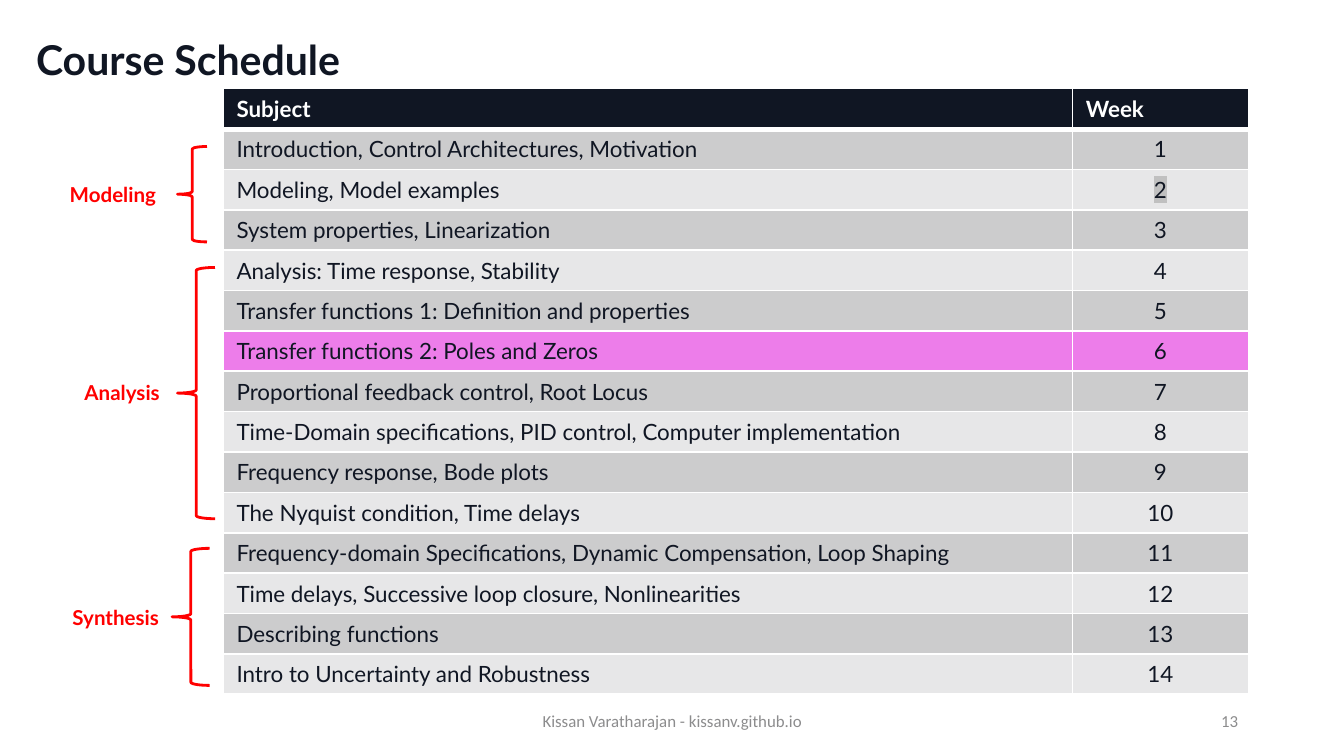
from dataclasses import dataclass
from lxml.etree import SubElement as Sub
from pptx import Presentation as Deck
from pptx.dml.color import RGBColor as Rgb
from pptx.enum.shapes import MSO_SHAPE as Shape
from pptx.enum.text import MSO_ANCHOR as Anchor, PP_ALIGN as Align
from pptx.oxml import parse_xml
from pptx.oxml.ns import nsdecls, qn
from pptx.util import Inches, Pt


@dataclass(frozen=True)
class Theme:
    ink: str = "101623"
    white: str = "FFFFFF"
    red: str = "FF0000"
    gray: str = "8C8C8D"
    bands: tuple = ("CCCCCD", "E7E7E8")
    mark: str = "ED7DEA"
    glow: str = "C0C0C0"
    face: str = "Lato"
    foot: str = "Calibri"
    title: int = 22
    cell: int = 12
    label: int = 11
    small: int = 9


LOOK = Theme()
COLS = 100
ROWS = COLS * 9 / 16
ROW = 3
EDGE = 13.2
NOW = 6
PICKED = 2
TOPICS = (
    "Introduction, Control Architectures, Motivation",
    "Modeling, Model examples",
    "System properties, Linearization",
    "Analysis: Time response, Stability",
    "Transfer functions 1: Definition and properties",
    "Transfer functions 2: Poles and Zeros",
    "Proportional feedback control, Root Locus",
    "Time-Domain specifications, PID control, Computer implementation",
    "Frequency response, Bode plots",
    "The Nyquist condition, Time delays",
    "Frequency-domain Specifications, Dynamic Compensation, Loop Shaping",
    "Time delays, Successive loop closure, Nonlinearities",
    "Describing functions",
    "Intro to Uncertainty and Robustness",
)
PARTS = (
    ("Modeling", 9, 13, (13.2, 10.9, 2.2, 7.1)),
    ("Analysis", 7.9, 27.7, (13.2, 19.9, 2.8, 18.7)),
    ("Synthesis", 8.8, 44.5, (12.8, 40.8, 2.8, 10.2)),
)


def grid(*units):
    """Turn grid units, a hundred to the slide's width, into lengths."""
    return [Inches(unit / 10) for unit in units]


def apply(item, form):
    """Set every format value on an item."""
    for name, value in form.items():
        setattr(item, name, value)


def write(frame, text, size, color, bold=False, face=LOOK.face, align=Align.LEFT, space=None):
    """Write one formatted line and return its run."""
    par = frame.paragraphs[0]
    apply(par, {"alignment": align, "line_spacing": space})
    run = par.add_run()
    run.text = text
    apply(run.font, {"size": Pt(size), "bold": bold, "name": face})
    run.font.color.rgb = Rgb.from_string(color)
    return run


def add_text(slide, box, text, size, color, wrap=True, **form):
    """Add a text box centred on its middle line."""
    frame = slide.shapes.add_textbox(*grid(*box)).text_frame
    apply(frame, {"word_wrap": wrap, "vertical_anchor": Anchor.MIDDLE})
    write(frame, text, size, color, **form)


def add_part(slide, name, width, top, box):
    """Add a brace and the label that ends at its point."""
    brace = slide.shapes.add_shape(Shape.LEFT_BRACE, *grid(*box))
    brace.shadow.inherit = False
    brace.fill.background()
    brace.line.color.rgb = Rgb.from_string(LOOK.red)
    brace.line.width = Pt(1.5)
    spot = (EDGE - width, top, width, 2.9)
    add_text(slide, spot, name, LOOK.label, LOOK.red, wrap=False, bold=True)


def add_rule(cell, sides):
    """Draw white cell borders from widths by side."""
    props = cell._tc.get_or_add_tcPr()
    for spot, (side, width) in enumerate(sides.items()):
        line = parse_xml(f'<a:ln{side} {nsdecls("a")} w="{Pt(width)}"/>')
        fill = Sub(line, qn("a:solidFill"))
        Sub(fill, qn("a:srgbClr"), val=LOOK.white)
        props.insert(spot, line)


def glow(run):
    """Lay a highlight behind a run."""
    tint = parse_xml(f'<a:highlight {nsdecls("a")}><a:srgbClr val="{LOOK.glow}"/></a:highlight>')
    run._r.rPr.find(qn("a:latin")).addprevious(tint)


def add_plan(slide):
    """Add the table of subjects by week."""
    rows = [("Subject", "Week")]
    rows += [(topic, str(week)) for week, topic in enumerate(TOPICS, 1)]
    box = grid(16.6, 6.6, 76.3, ROW * len(rows))
    table = slide.shapes.add_table(len(rows), 2, *box).table
    for col, width in zip(table.columns, grid(63.2, 13.1)):
        col.width = width
    for week, row in enumerate(rows):
        table.rows[week].height = grid(ROW)[0]
        head = week == 0
        fill = LOOK.ink if head else LOOK.mark if week == NOW else LOOK.bands[(week - 1) % 2]
        sides = {"L": 1, "R": 1, "T": 3 if week == 1 else 1, "B": 3 if head else 1}
        for col, text in enumerate(row):
            cell = table.cell(week, col)
            cell.fill.solid()
            cell.fill.fore_color.rgb = Rgb.from_string(fill)
            add_rule(cell, sides)
            align = Align.CENTER if col and not head else Align.LEFT
            color = LOOK.white if head else LOOK.ink
            run = write(cell.text_frame, text, LOOK.cell, color, bold=head, align=align)
            if col and week == PICKED:
                glow(run)


def main():
    """Build the course schedule and save it."""
    deck = Deck()
    deck.slide_width, deck.slide_height = grid(COLS, ROWS)
    slide = deck.slides.add_slide(deck.slide_layouts[6])
    box = (1.7, -0.8, 86.2, 10.9)
    add_text(slide, box, "Course Schedule", LOOK.title, LOOK.ink, bold=True, space=0.9)
    add_plan(slide)
    for part in PARTS:
        add_part(slide, *part)
    notes = (
        ("Kissan Varatharajan - kissanv.github.io", 33.1, 33.8, Align.CENTER),
        ("13", 70.6, 22.5, Align.RIGHT),
    )
    for text, left, width, align in notes:
        box = (left, 52.1, width, 3)
        add_text(slide, box, text, LOOK.small, LOOK.gray, face=LOOK.foot, align=align)
    deck.save("out.pptx")


if __name__ == "__main__":
    main()
